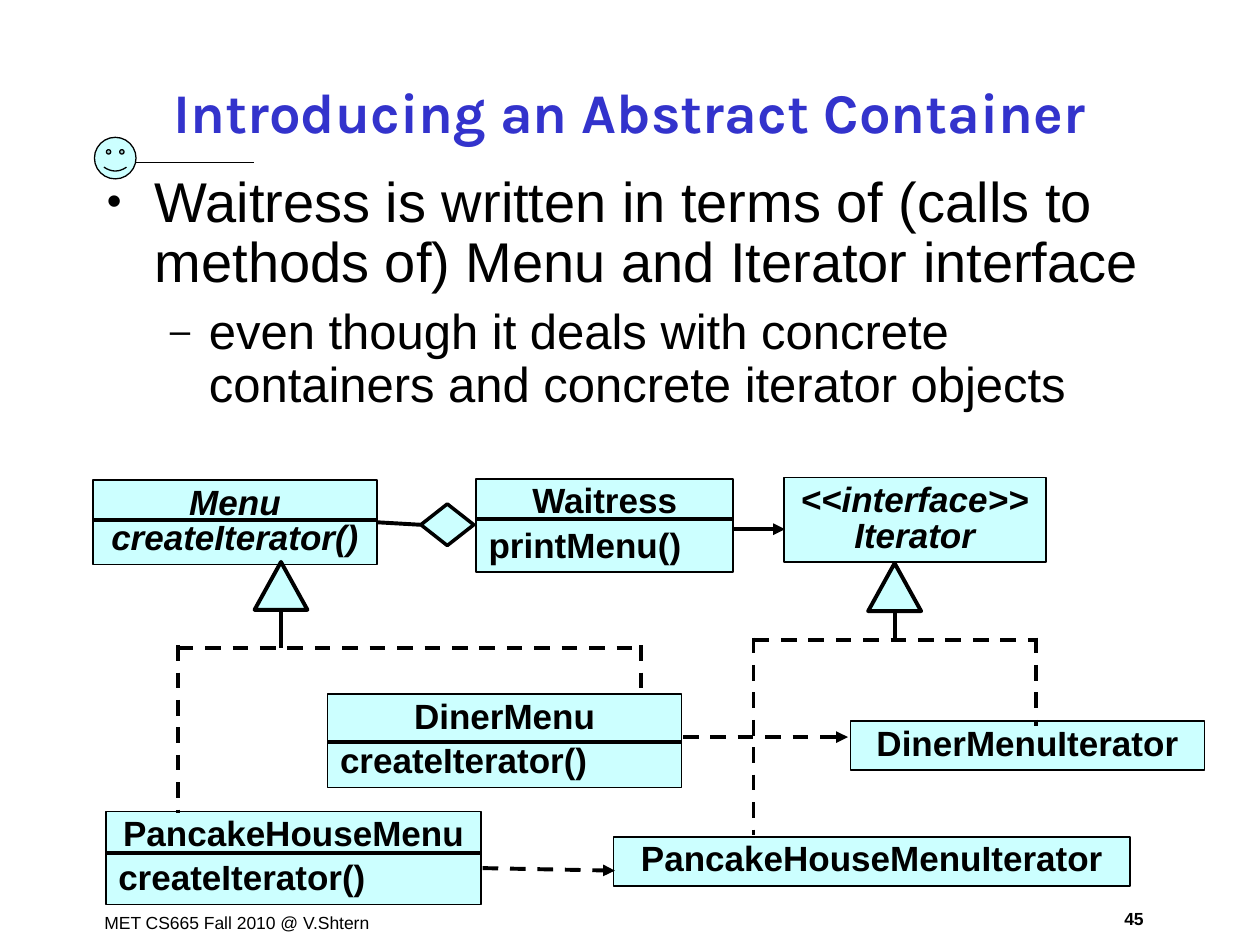
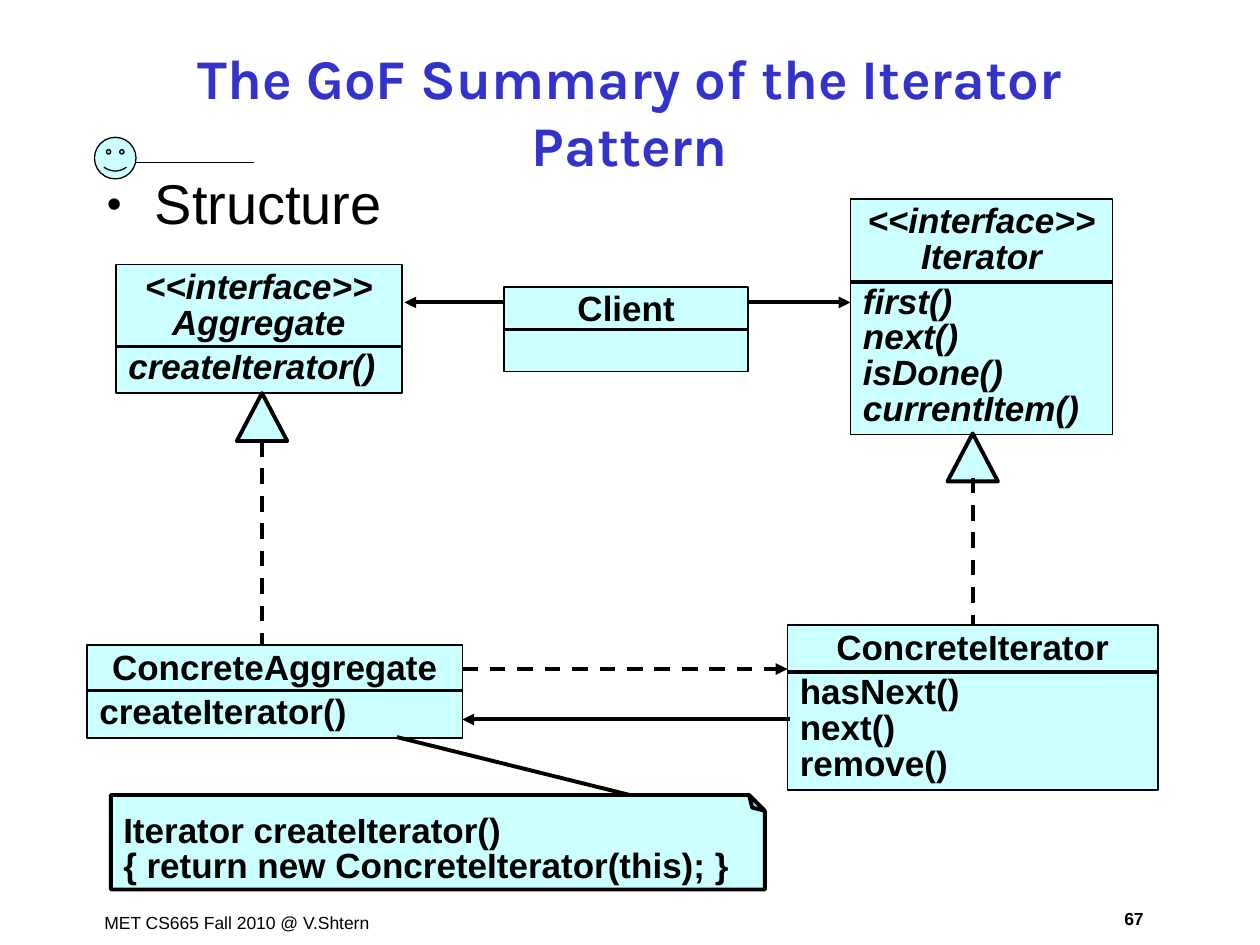
from dataclasses import dataclass

from lxml.etree import SubElement
from pptx import Presentation
from pptx.dml.color import RGBColor
from pptx.enum.dml import MSO_LINE
from pptx.enum.shapes import MSO_CONNECTOR, MSO_SHAPE
from pptx.enum.text import MSO_ANCHOR, PP_ALIGN
from pptx.oxml.ns import qn
from pptx.util import Inches, Pt


@dataclass(frozen=True)
class Theme:
    ink: RGBColor = RGBColor(0x00, 0x00, 0x00)
    title: RGBColor = RGBColor(0x33, 0x33, 0xCC)
    box: RGBColor = RGBColor(0xCC, 0xFF, 0xFF)
    title_font: str = "Karla"
    body_font: str = "Arial"
    title_size: float = 32
    body_sizes: tuple = (32, 28)
    diagram_size: float = 20
    footer_size: float = 10
    thin: float = 1
    thick: float = 2.25


THEME = Theme()

# Grid of 100 columns by 75 rows
SLIDE_WIDTH, SLIDE_HEIGHT = Inches(10), Inches(7.5)
LEFT, TOP, RIGHT, BOTTOM = 1, 0, 3, 2  # connection sites


def column(count):
    return round(SLIDE_WIDTH * count / 100)


def row(count):
    return round(SLIDE_HEIGHT * count / 75)


def cells(place):
    left, top, width, height = place
    return column(left), row(top), column(width), row(height)


# Text
def write(frame, text, *, size=THEME.diagram_size, font=THEME.body_font, color=THEME.ink,
          bold=False, italic=False, align=PP_ALIGN.LEFT, spacing=1.0, before=0):
    paragraph = frame.add_paragraph() if frame.text else frame.paragraphs[0]
    paragraph.alignment = align
    paragraph.line_spacing = spacing
    paragraph.space_before = Pt(before)
    run = paragraph.add_run()
    run.text = text
    run.font.size, run.font.name = Pt(size), font
    run.font.bold, run.font.italic = bold, italic
    run.font.color.rgb = color
    return paragraph


def text_box(slide, place, anchor=MSO_ANCHOR.TOP):
    frame = slide.shapes.add_textbox(*cells(place)).text_frame
    frame.word_wrap = True
    frame.vertical_anchor = anchor
    return frame


def bullet(frame, text, level=0, spacing=0.9):
    margin, hanging, mark = ((0.38, 0.38, "•"), (0.81, 0.31, "–"))[level]
    paragraph = write(frame, text, size=THEME.body_sizes[level], spacing=spacing,
                      before=8 - level)
    paragraph.level = level
    properties = paragraph._p.get_or_add_pPr()
    properties.set("marL", str(Inches(margin)))
    properties.set("indent", str(-Inches(hanging)))
    SubElement(properties, qn("a:buSzPct")).set("val", "75000")
    SubElement(properties, qn("a:buFont")).set("typeface", THEME.body_font)
    SubElement(properties, qn("a:buChar")).set("char", mark)


# Shapes and lines
def outline(slide, kind, place, weight=THEME.thick):
    shape = slide.shapes.add_shape(kind, *cells(place))
    shape.shadow.inherit = False
    shape.fill.solid()
    shape.fill.fore_color.rgb = THEME.box
    shape.line.color.rgb = THEME.ink
    shape.line.width = Pt(weight)
    return shape


def link(slide, start, end, *, dashed=False, arrow=False, weight=THEME.thick,
         begin=None, finish=None):
    """Draw a line; begin and finish are (shape, site) pairs to join."""
    connector = slide.shapes.add_connector(
        MSO_CONNECTOR.STRAIGHT, column(start[0]), row(start[1]), column(end[0]), row(end[1]))
    if begin:
        connector.begin_connect(*begin)
    if finish:
        connector.end_connect(*finish)
    connector.line.color.rgb = THEME.ink
    connector.line.width = Pt(weight)
    if dashed:
        connector.line.dash_style = MSO_LINE.DASH
    if arrow:
        SubElement(connector.line._get_or_add_ln(), qn("a:tailEnd")).set("type", "triangle")
    SubElement(connector._element.spPr, qn("a:effectLst"))


def class_box(slide, place, headings, members=(), *, divider=None, italic=False,
              anchor=MSO_ANCHOR.MIDDLE):
    """Draw a class; divider is the rows from its top to the separating line."""
    shape = outline(slide, MSO_SHAPE.RECTANGLE, place, THEME.thin)
    frame = shape.text_frame
    frame.word_wrap = True
    frame.vertical_anchor = anchor
    style = dict(bold=True, italic=italic, spacing=0.85)
    for heading in headings:
        write(frame, heading, align=PP_ALIGN.CENTER, **style)
    for index, member in enumerate(members):
        write(frame, member, before=0 if index else 5, **style)
    if divider:
        left, top, width, _ = place
        link(slide, (left, top + divider), (left + width, top + divider))
    return shape


def inheritance_arrow(slide, apex, width=4.2):
    x, y = apex
    outline(slide, MSO_SHAPE.ISOSCELES_TRIANGLE, (x - width / 2, y, width, 3.8))


def note(slide, place, lines):
    shape = outline(slide, MSO_SHAPE.FOLDED_CORNER, place)
    # Fold at the top, with the text kept upright
    shape._element.spPr.find(qn("a:xfrm")).set("flipV", "1")
    frame = shape.text_frame
    frame._txBody.bodyPr.set("rot", "10800000")
    frame.word_wrap = True
    frame.vertical_anchor = MSO_ANCHOR.MIDDLE
    for line in lines:
        write(frame, line, bold=True, spacing=0.85)


# What the slides share
def base_slide(presentation, title, number):
    slide = presentation.slides.add_slide(presentation.slide_layouts[6])
    write(text_box(slide, (7.3, 71.9, 24.1, 2.7)), "MET CS665 Fall 2010 @ V.Shtern",
          size=THEME.footer_size, before=6.2)
    write(text_box(slide, (87.3, 71.6, 5.4, 2.7)), str(number),
          size=THEME.footer_size, bold=True, align=PP_ALIGN.CENTER, before=6.2)
    outline(slide, MSO_SHAPE.SMILEY_FACE, (7.5, 10.9, 3.3, 3.3), 0.75)
    link(slide, (10.8, 12.9), (20.2, 12.9), weight=THEME.thin)
    write(text_box(slide, (7.5, 4.8, 85, 8), MSO_ANCHOR.MIDDLE), title,
          size=THEME.title_size, font=THEME.title_font, color=THEME.title, bold=True,
          align=PP_ALIGN.CENTER)
    return slide, text_box(slide, (7.5, 13.3, 85, 57.6))


def container_slide(presentation):
    slide, body = base_slide(presentation, "Introducing an Abstract Container", 45)
    bullet(body, "Waitress is written in terms of (calls to methods of) "
                 "Menu and Iterator interface")
    bullet(body, "even though it deals with concrete containers and concrete "
                 "iterator objects", level=1)

    # Classes
    factory = ["createIterator()"]
    menu = class_box(slide, (7.4, 38.1, 22.5, 6.7), ["Menu", *factory],
                     divider=3.2, italic=True)
    class_box(slide, (37.8, 38, 20.4, 7.4), ["Waitress"], ["printMenu()"], divider=3.2)
    class_box(slide, (62.2, 37.9, 20.8, 6.7), ["<<interface>>", "Iterator"], italic=True)
    class_box(slide, (26, 55.1, 28.1, 7.4), ["DinerMenu"], factory, divider=3.8)
    class_box(slide, (8.4, 64.4, 29.8, 7.4), ["PancakeHouseMenu"], factory, divider=3.3)
    class_box(slide, (67.5, 57.2, 28.1, 3.9), ["DinerMenuIterator"])
    class_box(slide, (48.7, 66.4, 41, 3.9), ["PancakeHouseMenuIterator"])

    # Waitress holds menus and uses iterators
    diamond = outline(slide, MSO_SHAPE.FLOWCHART_DECISION, (33.4, 40, 4.2, 3.3), 2)
    link(slide, (29.9, 41.5), (33.4, 41.7), begin=(menu, RIGHT), finish=(diamond, LEFT))
    link(slide, (58.2, 42), (62.3, 42), arrow=True)

    # Inheritance trees: apex, bar height, then (column, end row) of each branch
    trees = [
        ((22.3, 44.6), 51.4, ((14.1, 64.5), (50.9, 55.1))),
        ((71, 44.7), 50.8, ((59.8, 66.3), (82.2, 57.6))),
    ]
    for apex, bar, branches in trees:
        inheritance_arrow(slide, apex)
        link(slide, (apex[0], apex[1] + 3.7), (apex[0], bar))
        link(slide, (branches[0][0], bar), (branches[1][0], bar), dashed=True)
        for x, end in branches:
            link(slide, (x, bar - 0.2), (x, end), dashed=True)

    # Menus create their iterators
    link(slide, (54.2, 58.5), (67.3, 58.5), dashed=True, arrow=True)
    link(slide, (38.3, 68.9), (48.8, 69.1), dashed=True, arrow=True)


def structure_slide(presentation):
    slide, body = base_slide(presentation, "The GoF Summary of the Iterator Pattern", 67)
    bullet(body, "Structure", spacing=0.95)

    # Classes
    factory = ["createIterator()"]
    class_box(slide, (40, 22.8, 19.4, 6.7), ["Client"], divider=3.35, anchor=MSO_ANCHOR.TOP)
    class_box(slide, (9.2, 21, 22.7, 10.2), ["<<interface>>", "Aggregate"], factory,
              divider=6.5, italic=True)
    class_box(slide, (6.9, 51.2, 29.8, 7.4), ["ConcreteAggregate"], factory, divider=3.6)
    class_box(slide, (67.5, 15.8, 20.8, 18.7), ["<<interface>>", "Iterator"],
              ["first()", "next()", "isDone()", "currentItem()"], divider=6.6, italic=True)
    concrete_iterator = class_box(slide, (62.5, 49.6, 29.4, 13.1), ["ConcreteIterator"],
                                  ["hasNext()", "next()", "remove()"], divider=3.75)

    # Implementations of the interfaces
    inheritance_arrow(slide, (20.8, 31.2), width=4)
    inheritance_arrow(slide, (77.2, 34.4), width=4)
    link(slide, (20.8, 35), (20.8, 51.3), dashed=True)
    link(slide, (77.2, 37.9), (77.2, 49.6), dashed=True, finish=(concrete_iterator, TOP))

    # Uses between classes
    link(slide, (40, 24), (32.1, 24), arrow=True)
    link(slide, (59.4, 24), (67.5, 24), arrow=True)
    link(slide, (36.7, 53.1), (62.5, 53.1), dashed=True, arrow=True)
    link(slide, (62.7, 57.1), (36.7, 57.1), arrow=True)

    # Code note
    note(slide, (8.8, 63.1, 51.9, 7.5),
         ["Iterator createIterator()", "{ return new ConcreteIterator(this); }"])
    link(slide, (50, 63.1), (31.5, 58.5))


def main():
    presentation = Presentation()
    presentation.slide_width, presentation.slide_height = SLIDE_WIDTH, SLIDE_HEIGHT
    container_slide(presentation)
    structure_slide(presentation)
    presentation.save("out.pptx")


if __name__ == "__main__":
    main()
